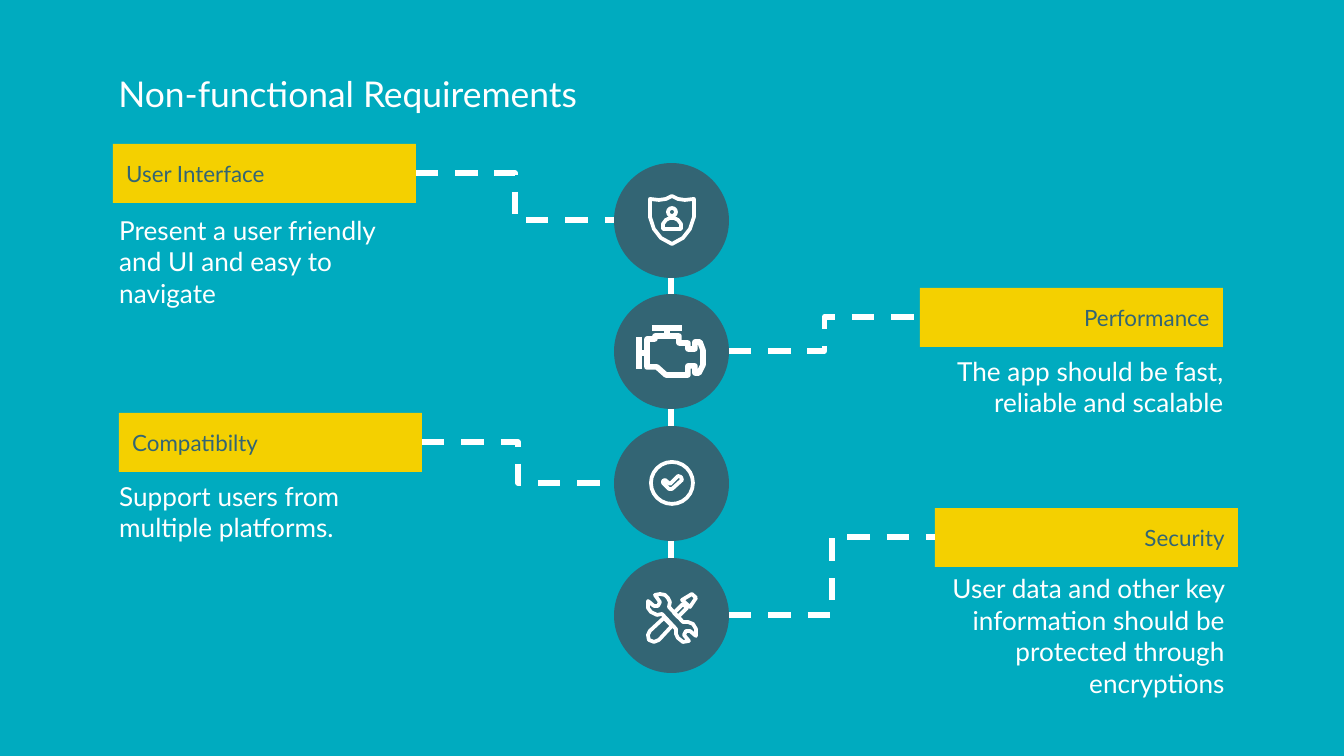
import pptx
import pptx.util
import pptx.dml.color
import pptx.enum.dml
import pptx.enum.shapes
import pptx.enum.text
import pptx.oxml

PX = 914400 / 134.4
TEAL, SLATE, GOLD, WHITE = "00ABBF", "336574", "F4D000", "FFFFFF"
KIND = pptx.enum.shapes.MSO_SHAPE
LINK = pptx.enum.shapes.MSO_CONNECTOR
ALIGN = pptx.enum.text.PP_ALIGN
ANCHOR = pptx.enum.text.MSO_ANCHOR


def emu(*px):
    return [round(v * PX) for v in px]


def color(code):
    return pptx.dml.color.RGBColor.from_string(code)


def mirror(half, axis):
    """Close an outline by reflecting its right half about x = axis."""
    return half + [(2 * axis - x, y) for x, y in reversed(half)]


class Deck:
    def __init__(self, font):
        self.font = font
        self.file = pptx.Presentation()
        self.file.slide_width, self.file.slide_height = emu(1344, 756)

    def page(self, back):
        self.slide = self.file.slides.add_slide(self.file.slide_layouts[5])
        self.shapes = self.slide.shapes
        self.slide.background.fill.solid()
        self.slide.background.fill.fore_color.rgb = color(back)

    def letter(self, shape, text, size, ink, align=ALIGN.LEFT, anchor=ANCHOR.MIDDLE):
        frame = shape.text_frame
        frame.word_wrap = True
        frame.auto_size = pptx.enum.text.MSO_AUTO_SIZE.NONE
        frame.vertical_anchor = anchor
        (frame.margin_left, frame.margin_top,
         frame.margin_right, frame.margin_bottom) = [pptx.util.Inches(0.1)] * 4
        frame.text = text
        para = frame.paragraphs[0]
        para.alignment = align
        para.line_spacing = 1.0
        para.space_before = pptx.util.Pt(0)
        para.font.name = self.font
        para.font.size = pptx.util.Pt(size)
        para.font.color.rgb = color(ink)

    def title(self, text, box):
        shape = self.shapes.title
        shape.left, shape.top, shape.width, shape.height = emu(*box)
        self.letter(shape, text, 19, WHITE, anchor=ANCHOR.TOP)

    def text(self, text, box, align):
        self.letter(self.shapes.add_textbox(*emu(*box)), text, 14, WHITE, align)

    def solid(self, kind, box, fill):
        shape = self.shapes.add_shape(kind, *emu(*box))
        shape.shadow.inherit = False
        shape.fill.solid()
        shape.fill.fore_color.rgb = color(fill)
        shape.line.fill.background()
        return shape

    def label(self, text, box, align):
        self.letter(self.solid(KIND.RECTANGLE, box, GOLD), text, 12, SLATE, align)

    def stroke(self, shape, width):
        shape.shadow.inherit = False
        shape.fill.background()
        shape.line.color.rgb = color(WHITE)
        shape.line.width = pptx.util.Pt(width)

    def ring(self, x, y, radius, width):
        box = emu(x - radius, y - radius, 2 * radius, 2 * radius)
        self.stroke(self.shapes.add_shape(KIND.OVAL, *box), width)

    def outline(self, points, width):
        pen = self.shapes.build_freeform(*points[0], scale=PX)
        pen.add_line_segments(points[1:], close=True)
        self.stroke(pen.convert_to_shape(), width)

    def link(self, start, end, kind=LINK.STRAIGHT, dash=False, width=3):
        line = self.shapes.add_connector(kind, *emu(*start, *end))
        line.line.color.rgb = color(WHITE)
        line.line.width = pptx.util.Pt(width)
        if dash:
            line.line.dash_style = pptx.enum.dml.MSO_LINE.DASH
        props = line._element.spPr
        props.append(pptx.oxml.parse_xml(
            '<a:effectLst xmlns:a="http://schemas.openxmlformats.org/drawingml/2006/main"/>'))


def shield(deck):
    deck.outline(mirror([(672, 196), (678, 199), (685, 200), (694, 199), (694, 217),
                         (690, 229), (683, 238), (672, 244)], 672), 2)
    deck.ring(672, 212, 4, 2)
    deck.outline(mirror([(674, 218), (678, 220), (681, 224), (681, 229)], 672), 2)


def engine(deck):
    deck.outline([(647, 339), (655, 339), (655, 336), (679, 336), (679, 343), (688, 343),
                  (688, 349), (695, 349), (695, 342), (700, 342), (703, 350), (703, 365),
                  (699, 373), (695, 373), (695, 366), (688, 366), (688, 375), (666, 375),
                  (657, 367), (647, 367)], 3)
    for start, end in [((639, 337), (639, 369)), ((639, 353), (647, 353)),
                       ((652, 328), (682, 328)), ((667, 328), (667, 336))]:
        deck.link(start, end)


def check(deck):
    deck.ring(672, 483, 21, 2)
    deck.outline([(663, 481), (665, 480), (670, 484), (678, 476), (681, 477), (682, 480),
                  (672, 489), (669, 489), (663, 483)], 2)


def tools(deck):
    wrench = [(660, 594), (665, 595), (668, 598), (670, 602), (669, 607), (683, 622),
              (688, 622), (693, 624), (696, 629), (696, 636), (690, 631), (686, 631),
              (684, 635), (689, 641), (683, 642), (678, 638), (676, 634), (676, 629),
              (662, 614), (657, 615), (651, 612), (648, 608), (648, 601), (654, 606),
              (658, 606), (660, 602), (655, 595)]
    tip = [(692, 594), (696, 598), (690, 607), (682, 600)]
    shaft = [(683, 604), (687, 608), (678, 617), (674, 613)]
    grip = [(664, 618), (672, 626), (659, 640), (654, 642), (649, 640), (648, 635), (650, 631)]
    for points in (wrench, tip, shaft, grip):
        deck.outline(points, 2)


def main():
    deck = Deck("Lato")
    deck.page(TEAL)
    deck.title("Non-functional Requirements", (105, 59, 1134, 85))

    tops, size, left = (163, 294, 426, 558), 115, 614
    for top in tops:
        deck.solid(KIND.OVAL, (left, top, size, size), SLATE)
    for above, below in zip(tops, tops[1:]):
        deck.link((671, above + size), (671, below))

    # heading, label corner, detail, detail box
    items = [
        ("User Interface", 113, 144,
         "Present a user friendly and UI and easy to navigate", (106, 223, 302, 77)),
        ("Performance", 920, 288,
         "The app should be fast, reliable and scalable", (935, 348, 302, 77)),
        ("Compatibilty", 119, 413,
         "Support users from multiple platforms.", (106, 473, 302, 77)),
        ("Security", 935, 508,
         "User data and other key information should be protected through encryptions",
         (902, 597, 336, 77)),
    ]
    wide, high = 303, 59
    for top, (head, x, y, detail, box) in zip(tops, items):
        hub, mid = top + size // 2, y + high // 2
        if x < left:
            align, start, end = ALIGN.LEFT, (x + wide, mid), (left, hub)
        else:
            align, start, end = ALIGN.RIGHT, (left + size, hub), (x, mid)
        deck.label(head, (x, y, wide, high), align)
        deck.text(detail, box, align)
        deck.link(start, end, LINK.ELBOW, dash=True)

    for icon in (shield, engine, check, tools):
        icon(deck)
    deck.file.save("out.pptx")


if __name__ == "__main__":
    main()
